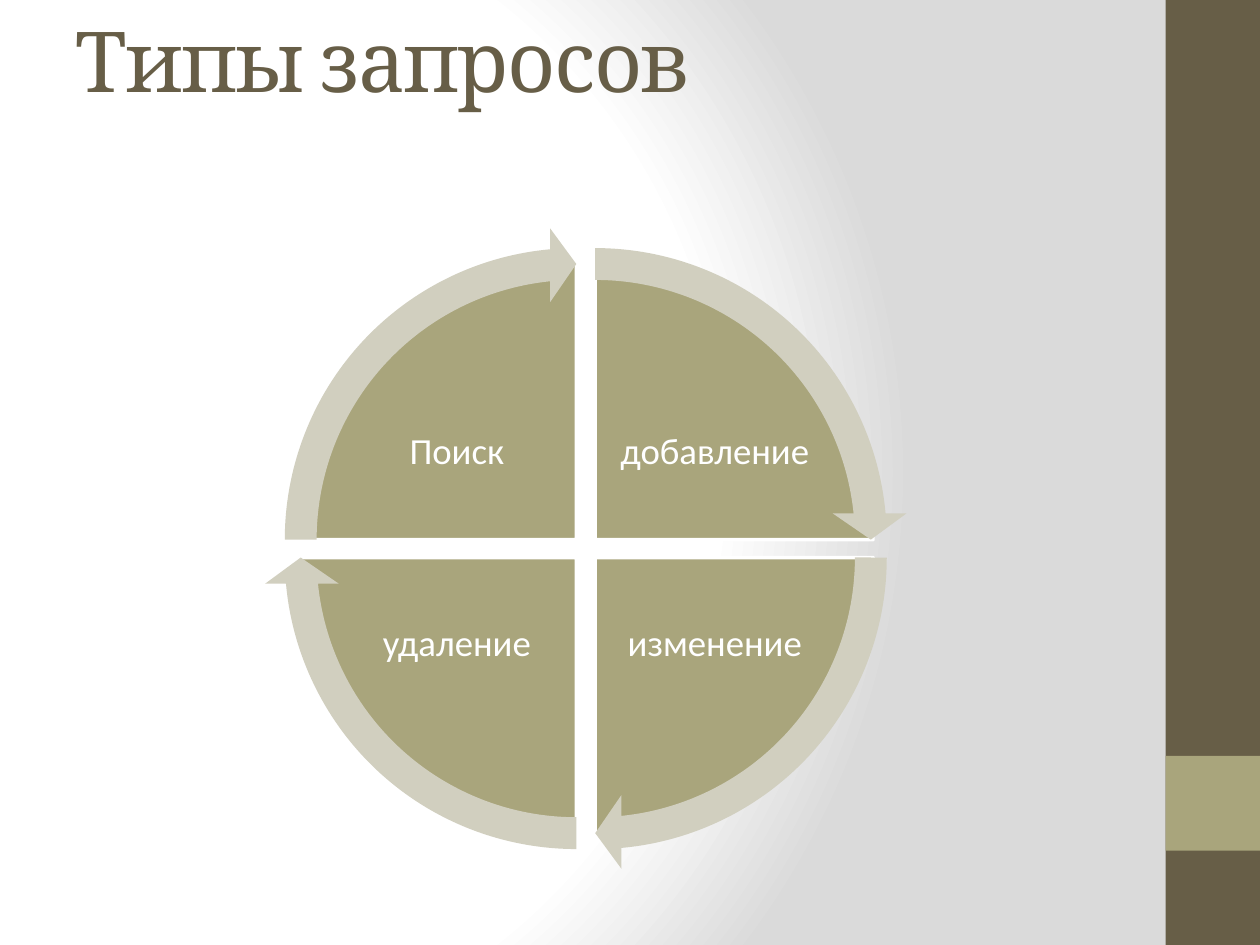
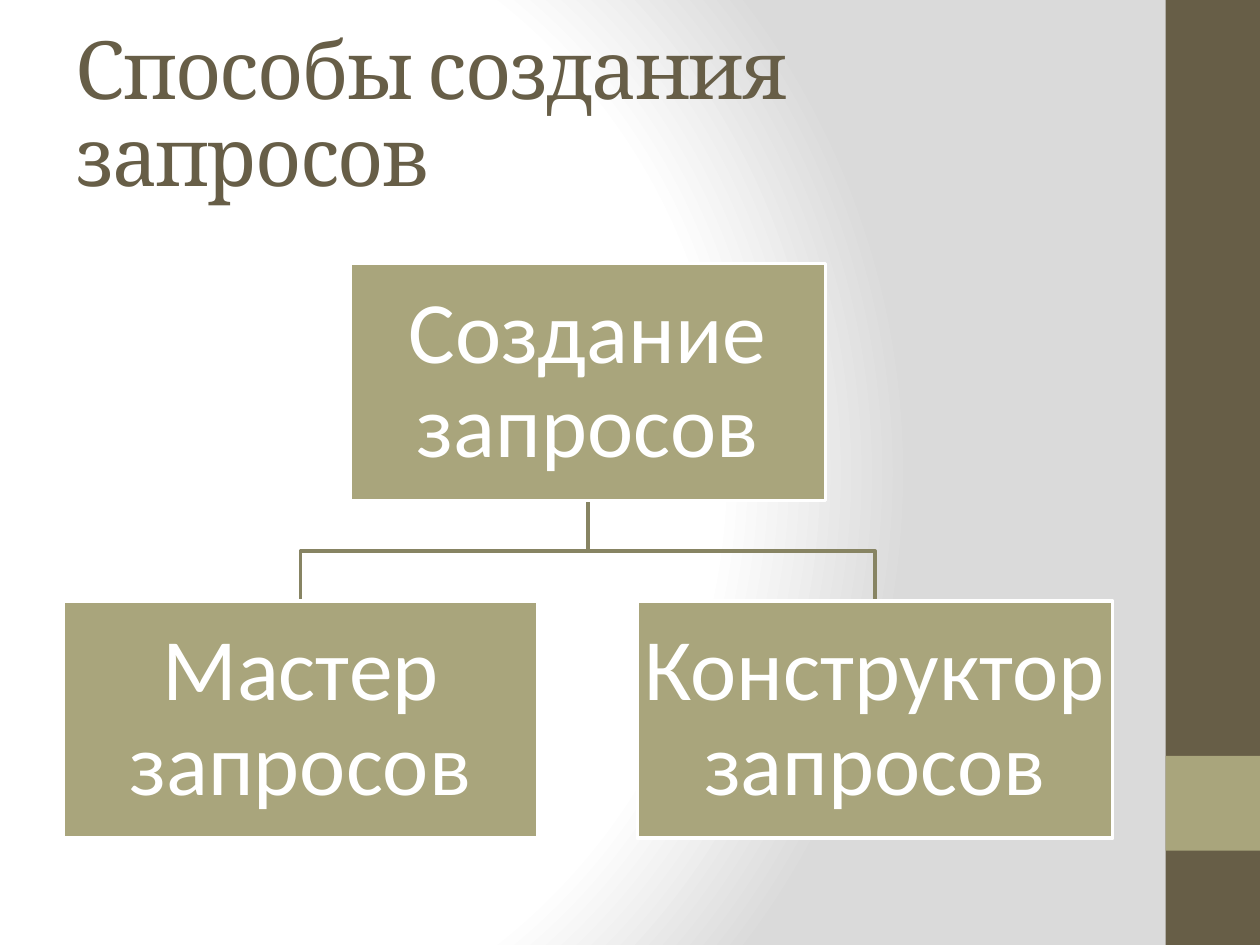
from pptx import Presentation
from pptx.dml.color import RGBColor
from pptx.enum import shapes, text
from pptx.oxml import parse_xml
from pptx.oxml.ns import nsdecls
from pptx.util import Cm, Pt

BROWN = RGBColor(0x67, 0x5E, 0x47)
OLIVE = RGBColor(0xA9, 0xA5, 0x7C)
PALE = RGBColor(0xD1, 0xCF, 0xBF)
LINK = RGBColor(0x87, 0x84, 0x63)
WHITE = RGBColor(0xFF, 0xFF, 0xFF)
SHAPE = shapes.MSO_SHAPE


def add_figure(s, kind, x, y, w, h, fill, outline=None):
    sp = s.shapes.add_shape(kind, Cm(x), Cm(y), Cm(w), Cm(h))
    sp.shadow.inherit = False
    sp.fill.solid()
    sp.fill.fore_color.rgb = fill
    if outline is None:
        sp.line.fill.background()
    else:
        sp.line.color.rgb = outline
        sp.line.width = Pt(2)
    return sp


def write_label(sp, words, size):
    tf = sp.text_frame
    tf.word_wrap = True
    tf.vertical_anchor = text.MSO_ANCHOR.MIDDLE
    tf.margin_left = tf.margin_right = tf.margin_top = tf.margin_bottom = Cm(0.08)
    p = tf.paragraphs[0]
    p.alignment = text.PP_ALIGN.CENTER
    p.line_spacing = 0.9
    r = p.add_run()
    r.text = words
    r.font.name, r.font.size = "Calibri", Pt(size)
    r.font.color.rgb = WHITE


prs = Presentation()
prs.slide_width, prs.slide_height = Cm(25.4), Cm(19.05)
master = prs.slide_master

# Shared background: radial gradient on the master
master.background.fill.solid()
bg = master.element.xpath(".//p:bgPr")[0]
bg.replace(bg[0], parse_xml(
    f'<a:gradFill {nsdecls("a")} rotWithShape="1"><a:gsLst>'
    '<a:gs pos="0"><a:srgbClr val="FFFFFF"/></a:gs>'
    '<a:gs pos="75000"><a:srgbClr val="FFFFFF"/></a:gs>'
    '<a:gs pos="100000"><a:srgbClr val="DADADA"/></a:gs></a:gsLst>'
    '<a:path path="circle"><a:fillToRect l="20000" t="50000" r="100000" b="50000"/>'
    '</a:path></a:gradFill>'))

# Slides and titles; the one-line title sits where a first line would
slides = []
for words, size, bottom in [("Типы запросов", 48, 2.2),
                            ("Способы создания запросов", 46, 0.13)]:
    s = prs.slides.add_slide(prs.slide_layouts[5])
    slides.append(s)
    sp = s.shapes.title
    sp.left, sp.top, sp.width, sp.height = Cm(1.27), Cm(0.76), Cm(21.16), Cm(3.18)
    tf = sp.text_frame
    tf.auto_size = text.MSO_AUTO_SIZE.NONE
    tf.vertical_anchor = text.MSO_ANCHOR.MIDDLE
    tf.margin_bottom = Cm(bottom)
    p = tf.paragraphs[0]
    p.alignment = text.PP_ALIGN.LEFT
    p.line_spacing = 0.9
    r = p.add_run()
    r.text = words
    r.font.name, r.font.size = "Cambria", Pt(size)
    r.font.color.rgb = BROWN
    r.font._element.set("spc", "-100")

# Shared side bands, moved to the back of the master
bands = [(0, 19.05, BROWN), (15.24, 1.91, OLIVE)]
for i, (y, h, color) in enumerate(bands):
    sp = add_figure(slides[0], SHAPE.RECTANGLE, 23.5, y, 1.9, h, color)
    master.shapes.element.insert(2 + i, sp.element)

# Slide 1: cycle of four quarters, clockwise from the top right
s = slides[0]
QUARTER, FULL = 54, 216
PIE, ARROW = 11.2, 12.6
quarters = [("добавление", 1, 0), ("изменение", 1, 1),
            ("удаление", 0, 1), ("Поиск", 0, 0)]
corners = [(6.02 + 0.38 * col, 5.28 + 0.36 * row) for _, col, row in quarters]
starts = [(3 + i) * QUARTER % FULL for i in range(4)]

for (words, col, row), (x, y), start in zip(quarters, corners, starts):
    sp = add_figure(s, SHAPE.PIE, x, y, PIE, PIE, OLIVE, WHITE)
    sp.adjustments[0] = start
    sp.adjustments[1] = (start + QUARTER) % FULL
    sp = s.shapes.add_textbox(Cm(7.14 + 5.2 * col), Cm(7.59 + 3.87 * row),
                              Cm(4.14), Cm(3.07))
    write_label(sp, words, 21)

for (x, y), start in zip(corners, starts):
    inset = (ARROW - PIE) / 2
    sp = add_figure(s, SHAPE.CIRCULAR_ARROW, x - inset, y - inset, ARROW, ARROW, PALE)
    for i, value in enumerate([0.051, 3.275, start + 50.725, start, 0.059]):
        sp.adjustments[i] = value

# Slide 2: tree with one root and two branches
s = slides[1]
BOX_W, BOX_H = 9.58, 4.78
ROOT_X, ROOT_Y, BRANCH_Y = 7.06, 5.31, 12.12
branches = [("Мастер запросов", 1.27), ("Конструктор запросов", 12.85)]
root_mid, root_end = ROOT_X + BOX_W / 2, ROOT_Y + BOX_H
bend = (root_end + BRANCH_Y) / 2

for _, x in branches:
    mid = x + BOX_W / 2
    fb = s.shapes.build_freeform(Cm(root_mid), Cm(root_end))
    fb.add_line_segments([(Cm(root_mid), Cm(bend)), (Cm(mid), Cm(bend)),
                          (Cm(mid), Cm(BRANCH_Y))], close=False)
    sp = fb.convert_to_shape()
    sp.shadow.inherit = False
    sp.fill.background()
    sp.line.color.rgb = LINK
    sp.line.width = Pt(2)

boxes = [("Создание запросов", ROOT_X, ROOT_Y)]
boxes += [(words, x, BRANCH_Y) for words, x in branches]
for words, x, y in boxes:
    sp = add_figure(s, SHAPE.RECTANGLE, x, y, BOX_W, BOX_H, OLIVE, WHITE)
    write_label(sp, words, 50)

prs.save("out.pptx")
